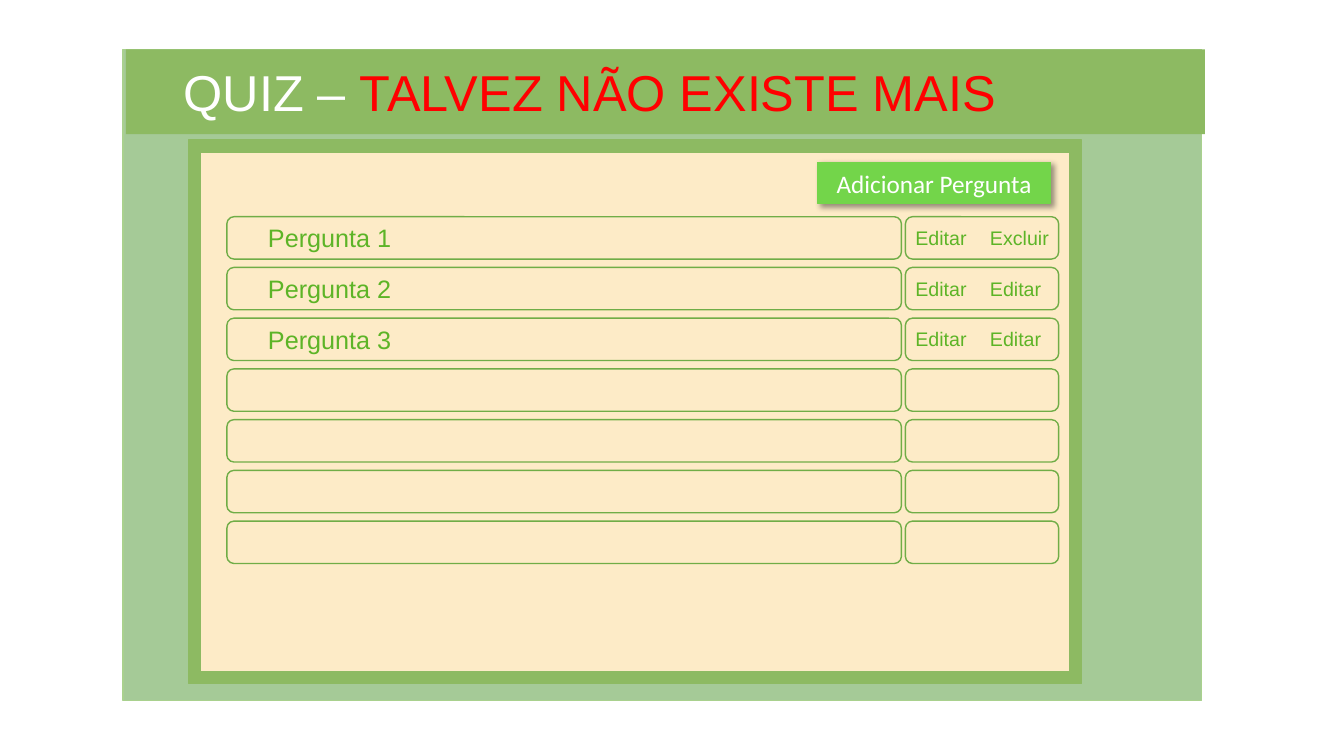
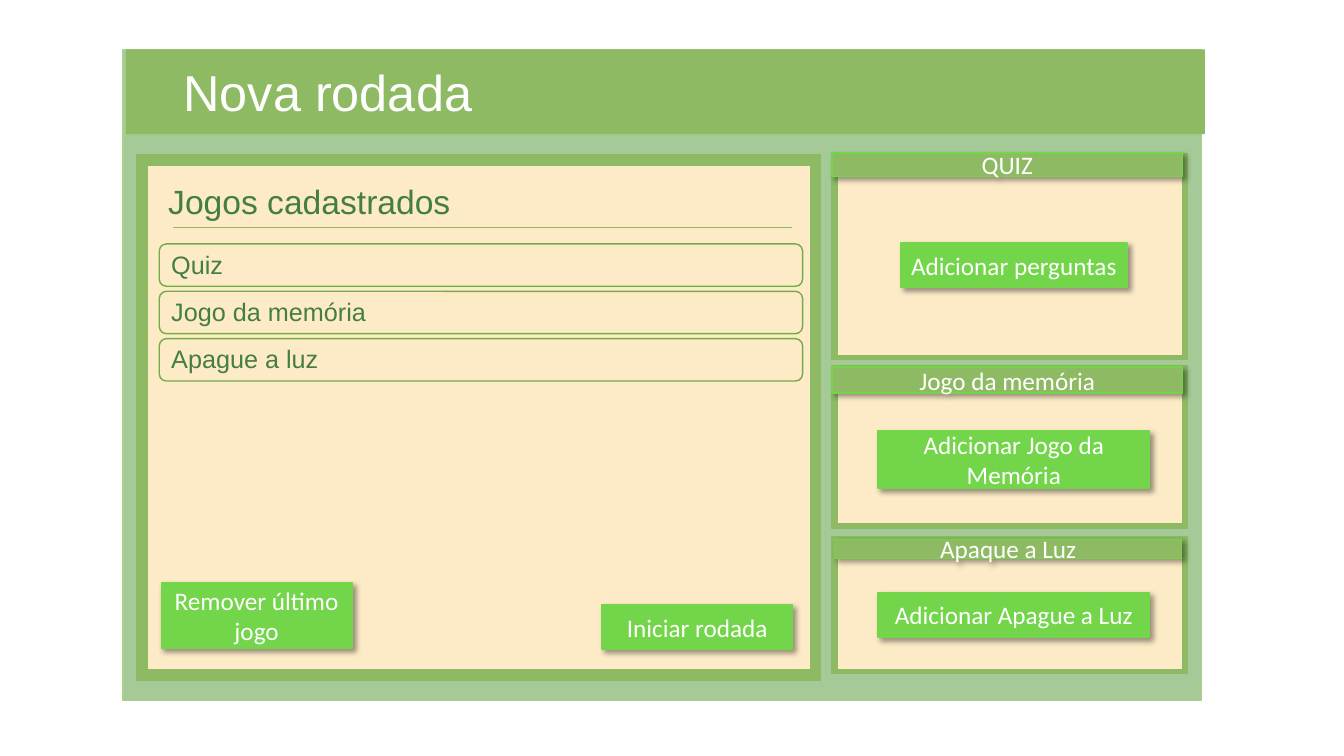
from lxml import etree
from pptx import Presentation
from pptx.dml.color import RGBColor
from pptx.enum.shapes import MSO_CONNECTOR, MSO_SHAPE
from pptx.enum.text import MSO_ANCHOR, PP_ALIGN
from pptx.oxml import parse_xml
from pptx.oxml.ns import qn
from pptx.util import Inches, Pt

RECT = MSO_SHAPE.RECTANGLE
ROUNDED = MSO_SHAPE.ROUNDED_RECTANGLE
STRAIGHT = MSO_CONNECTOR.STRAIGHT
MIDDLE = MSO_ANCHOR.MIDDLE
LEFT, CENTER = PP_ALIGN.LEFT, PP_ALIGN.CENTER
TITLE_ONLY = 5

BACKDROP, BACKDROP_EDGE = "A5CA97", "A9D18E"
BAND, PAPER, ROW_EDGE = "8DBA62", "FDEBC7", "70AD47"
BUTTON, LABEL, DARK_LABEL = "73D54A", "5DB427", "447E43"
WHITE, RED = "FFFFFF", "FF0000"
ROW_HEIGHT = 0.42

SHADOW = (
    '<a:effectLst xmlns:a="http://schemas.openxmlformats.org/drawingml/2006/main">'
    '<a:outerShdw blurRad="50800" dist="38100" dir="2700000" algn="tl" rotWithShape="0">'
    '<a:srgbClr val="000000"><a:alpha val="40000"/></a:srgbClr>'
    "</a:outerShdw></a:effectLst>"
)


def rgb(color):
    """Turn a hex string into a colour."""
    return RGBColor.from_string(color)


def style_run(run, size, color, font="Arial"):
    """Give a run its font, size and colour."""
    run.font.name = font
    run.font.size = Pt(size)
    run.font.color.rgb = rgb(color)


def add_box(slide, box, fill=None, edge=None, preset=RECT):
    """Draw a preset shape without a shadow."""
    shape = slide.shapes.add_shape(preset, *map(Inches, box))
    shape.shadow.inherit = False
    if fill:
        shape.fill.solid()
        shape.fill.fore_color.rgb = rgb(fill)
    else:
        shape.fill.background()
    if edge:
        shape.line.color.rgb = rgb(edge)
        shape.line.width = Pt(1)
    else:
        shape.line.fill.background()
    return shape


def add_label(slide, text, box, size, color):
    """Add one line of plain text."""
    label = slide.shapes.add_textbox(*map(Inches, box))
    label.text_frame.word_wrap = True
    label.text_frame.text = text
    style_run(label.text_frame.paragraphs[0].runs[0], size, color)


def add_button(slide, text, box, fill=BUTTON):
    """Add a raised box with a centred caption."""
    button = add_box(slide, box, fill, BUTTON)
    properties = button._element.spPr
    properties.replace(properties.find(qn("a:effectLst")), parse_xml(SHADOW))
    frame = button.text_frame
    frame.word_wrap = True
    frame.margin_left = frame.margin_right = Inches(0.05)
    frame.vertical_anchor = MIDDLE
    frame.text = text
    caption = frame.paragraphs[0]
    caption.alignment = CENTER
    style_run(caption.runs[0], 18, WHITE, "Calibri")


def add_row(slide, left, top, width):
    """Add an outlined list row."""
    add_box(slide, (left, top, width, ROW_HEIGHT), edge=ROW_EDGE, preset=ROUNDED)


def add_panel(slide, box, border_x, border_y):
    """Add a paper panel inside a green border."""
    left, top, width, height = box
    add_box(slide, box, BAND, BAND)
    paper = (left + border_x, top + border_y, width - 2 * border_x, height - 2 * border_y)
    add_box(slide, paper, PAPER, BAND)


def add_rule(slide, left, right, y):
    """Draw a thin horizontal line."""
    rule = slide.shapes.add_connector(STRAIGHT, *map(Inches, (left, y, right, y)))
    rule.line.color.rgb = rgb(BAND)
    rule.line.width = Pt(0.5)
    etree.SubElement(rule._element.spPr, qn("a:effectLst"))


def add_screen(prs, title_parts):
    """Add a slide with the backdrop, title band and title."""
    slide = prs.slides.add_slide(prs.slide_layouts[TITLE_ONLY])
    add_box(slide, (1.22, 0.49, 10.7, 6.46), BACKDROP, BACKDROP_EDGE)
    add_box(slide, (1.25, 0.49, 10.7, 0.84), BAND)
    title = slide.shapes.title
    slide.shapes._spTree.append(title._element)
    title.left, title.top, title.width, title.height = map(Inches, (1.72, 0.55, 9.03, 0.71))
    title.text_frame.vertical_anchor = MIDDLE
    heading = title.text_frame.paragraphs[0]
    heading.alignment = LEFT
    for text, color in title_parts:
        run = heading.add_run()
        run.text = text
        style_run(run, 36, color)
    return slide


def build_quiz(prs):
    """Build the list of quiz questions."""
    slide = add_screen(prs, [("QUIZ – ", WHITE), ("TALVEZ NÃO EXISTE MAIS", RED)])
    add_panel(slide, (1.87, 1.39, 8.86, 5.39), 0.12, 0.12)
    first_top, last_top, row_count = 2.15, 5.17, 7
    pitch = (last_top - first_top) / (row_count - 1)
    tops = [first_top + pitch * index for index in range(row_count)]
    for top in tops:
        add_row(slide, 2.25, top, 6.69)
        add_row(slide, 8.98, top, 1.52)
    questions = [
        ("Pergunta 1", "Editar", "Excluir"),
        ("Pergunta 2", "Editar", "Editar"),
        ("Pergunta 3", "Editar", "Editar"),
    ]
    for top, (question, first_action, second_action) in zip(tops, questions):
        add_label(slide, question, (2.56, top + 0.01, 2.93, 0.4), 18, LABEL)
        add_label(slide, first_action, (8.98, top + 0.04, 0.82, 0.34), 14, LABEL)
        add_label(slide, second_action, (9.72, top + 0.04, 0.82, 0.34), 14, LABEL)
    add_button(slide, "Adicionar Pergunta", (8.11, 1.61, 2.31, 0.41))


def build_new_round(prs):
    """Build the screen that sets up a new round."""
    slide = add_screen(prs, [("Nova rodada", WHITE)])
    add_panel(slide, (1.36, 1.53, 6.78, 5.22), 0.1, 0.11)
    add_label(slide, "Jogos cadastrados", (1.57, 1.75, 5.01, 0.5), 24, DARK_LABEL)
    add_rule(slide, 1.72, 7.86, 2.26)
    for index, game in enumerate(["Quiz", "Jogo da memória", "Apague a luz"]):
        top = 2.42 + 0.47 * index
        add_row(slide, 1.58, top, 6.38)
        add_label(slide, game, (1.6, top, 5.01, 0.4), 18, DARK_LABEL)
    cards = [
        (1.53, 2.04, "QUIZ", (8.25, 1.52, 3.48, 0.23),
         "Adicionar perguntas", (8.93, 2.41, 2.25, 0.44)),
        (3.63, 1.61, "Jogo da memória", (8.25, 3.64, 3.48, 0.26),
         "Adicionar Jogo da Memória", (8.71, 4.27, 2.69, 0.57)),
        (5.32, 1.36, "Apaque a Luz", (8.28, 5.35, 3.44, 0.19),
         "Adicionar Apague a Luz", (8.71, 5.88, 2.69, 0.44)),
    ]
    for top, height, heading, heading_box, action, action_box in cards:
        add_panel(slide, (8.25, top, 3.53, height), 0.05, 0.04)
        add_button(slide, heading, heading_box, BAND)
        add_button(slide, action, action_box)
    add_button(slide, "Iniciar rodada", (5.97, 6, 1.89, 0.44))
    add_button(slide, "Remover último jogo", (1.6, 5.78, 1.89, 0.65))


def main():
    """Build and save the presentation."""
    prs = Presentation()
    prs.slide_width, prs.slide_height = Inches(13.33), Inches(7.5)
    build_quiz(prs)
    build_new_round(prs)
    prs.save("out.pptx")


if __name__ == "__main__":
    main()
